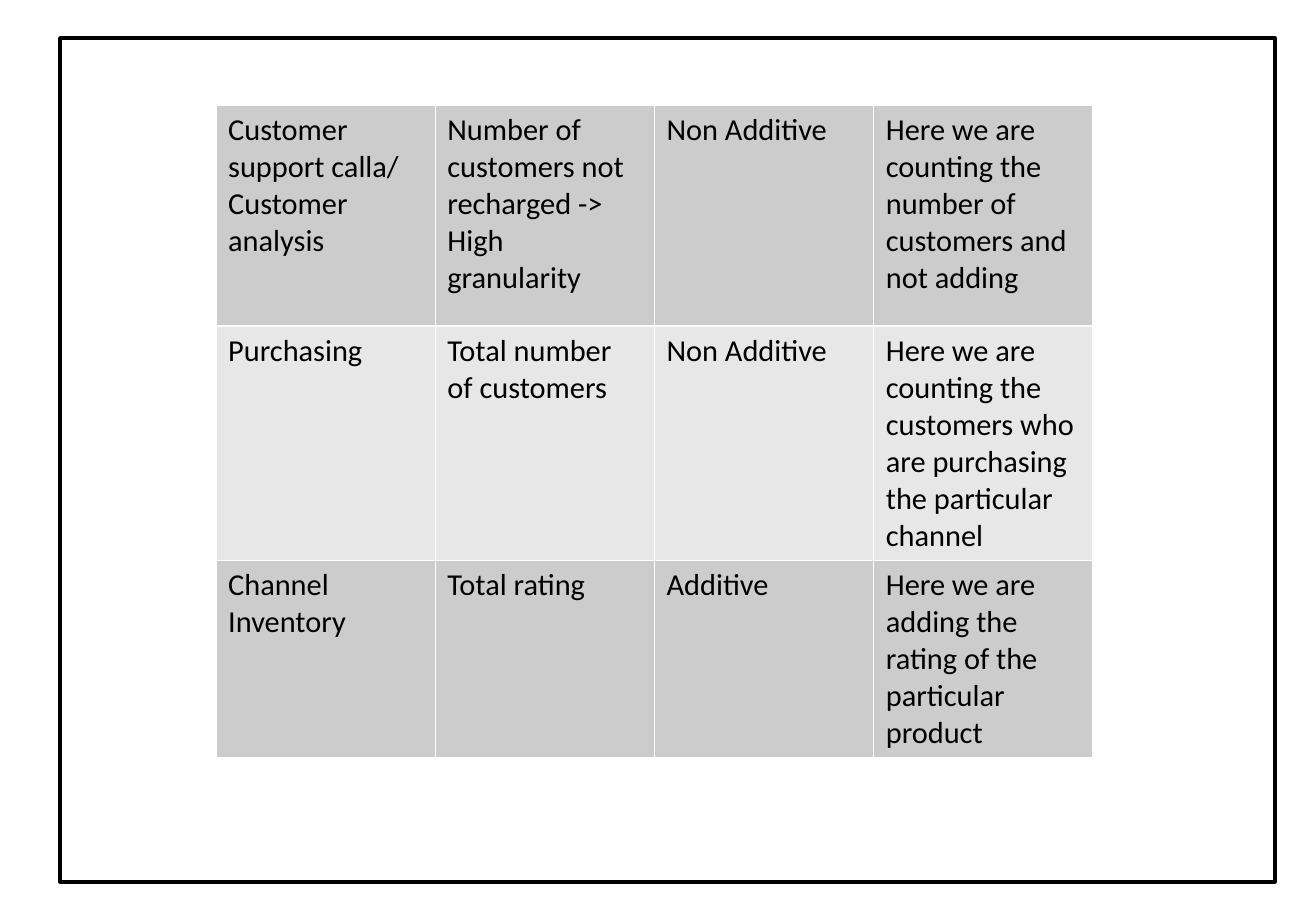
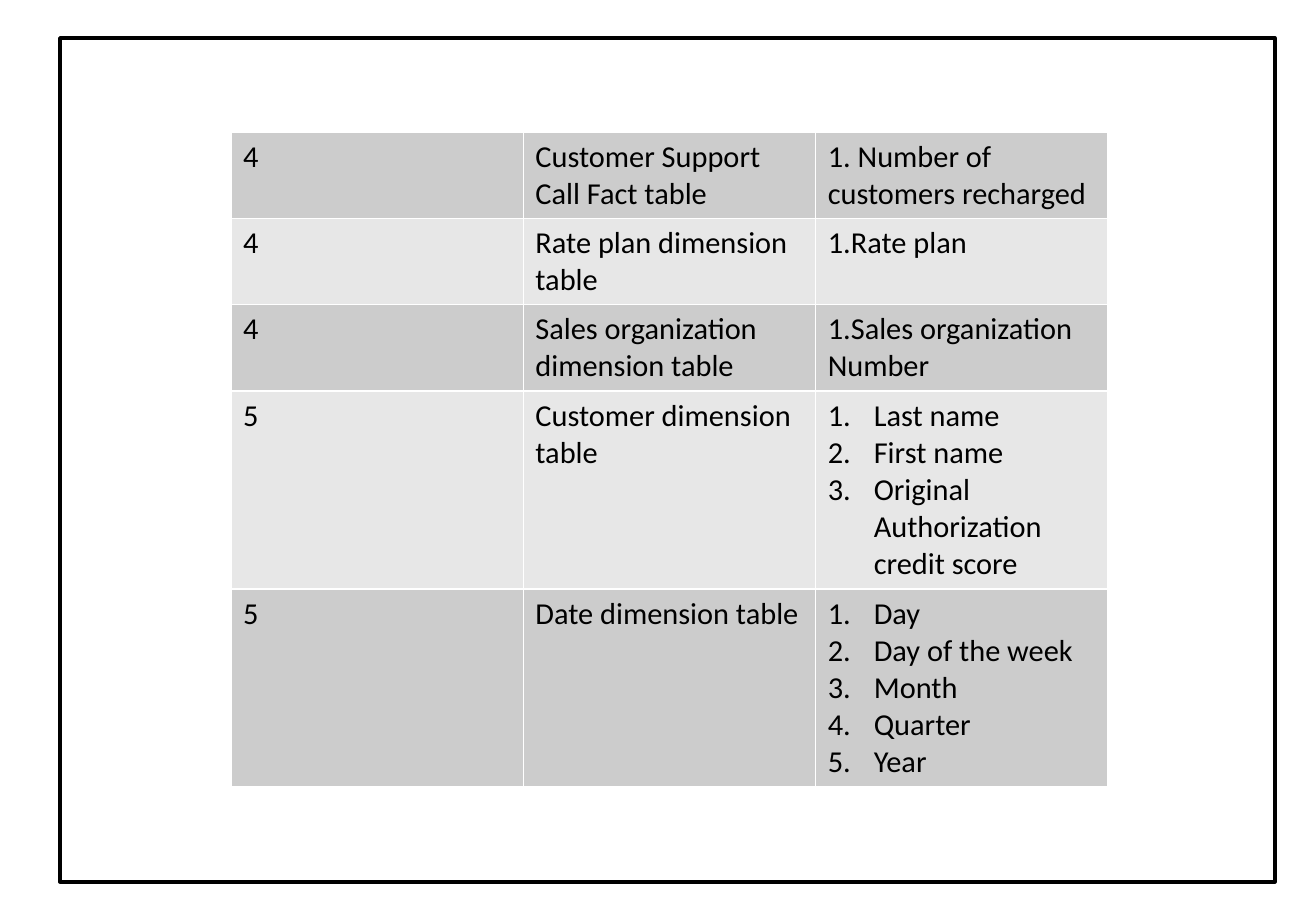
from dataclasses import dataclass

from lxml import etree
from pptx import Presentation
from pptx import util as u
from pptx.dml import color
from pptx.enum import shapes
from pptx.oxml import ns

EMU_PER_PX = 914400 / 121.5


@dataclass(frozen=True)
class Theme:
    font: str = "Calibri"
    size: int = 18
    ink: str = "000000"
    paper: str = "FFFFFF"
    bands: tuple = ("CCCCCC", "E7E7E7")
    frame_line: int = 2
    border_line: int = 1
    list_indent: int = 46


THEME = Theme()

FACT_ROWS = [
    (221, ["Customer support calla/ Customer analysis",
           "Number of customers not recharged -> High granularity",
           "Non Additive",
           "Here we are counting the number of customers and not adding"]),
    (234, ["Purchasing",
           "Total number of customers",
           "Non Additive",
           "Here we are counting the customers who are purchasing the particular channel"]),
    (197, ["Channel Inventory",
           "Total rating",
           "Additive",
           "Here we are adding the rating of the particular product"]),
]

DIMENSION_ROWS = [
    (86, ["4", "Customer Support Call Fact table", "1. Number of customers recharged"]),
    (86, ["4", "Rate plan dimension table", "1.Rate plan"]),
    (86, ["4", "Sales organization dimension table", "1.Sales organization Number"]),
    (198, ["5", "Customer dimension table",
           ["Last name", "First name", "Original Authorization credit score"]]),
    (197, ["5", "Date dimension table",
           ["Day", "Day of the week", "Month", "Quarter", "Year"]]),
]


def px(length):
    return u.Emu(round(length * EMU_PER_PX))


def rgb(value):
    return color.RGBColor.from_string(value)


def add_framed_page(deck):
    page = deck.slides.add_slide(deck.slide_layouts[6])
    frame = page.shapes.add_shape(
        shapes.MSO_SHAPE.RECTANGLE, px(60), px(38), px(1215), px(844))
    frame.shadow.inherit = False
    frame.fill.solid()
    frame.fill.fore_color.rgb = rgb(THEME.paper)
    frame.line.color.rgb = rgb(THEME.ink)
    frame.line.width = u.Pt(THEME.frame_line)
    return page


def set_borders(cell):
    properties = cell._tc.get_or_add_tcPr()
    for side in ("lnL", "lnR", "lnT", "lnB"):
        line = etree.SubElement(properties, ns.qn(f"a:{side}"),
                                w=str(u.Pt(THEME.border_line)))
        fill = etree.SubElement(line, ns.qn("a:solidFill"))
        etree.SubElement(fill, ns.qn("a:srgbClr"), val=THEME.paper)


def number_paragraph(para):
    properties = para._p.get_or_add_pPr()
    indent = px(THEME.list_indent)
    properties.set("marL", str(indent))
    properties.set("indent", str(-indent))
    etree.SubElement(properties, ns.qn("a:buFont"), typeface="+mj-lt")
    etree.SubElement(properties, ns.qn("a:buAutoNum"), type="arabicPeriod")


def fill_cell(cell, content, band):
    set_borders(cell)
    cell.fill.solid()
    cell.fill.fore_color.rgb = rgb(band)
    numbered = isinstance(content, list)
    cell.text = "\n".join(content) if numbered else content
    for para in cell.text_frame.paragraphs:
        if numbered:
            number_paragraph(para)
        para.font.name = THEME.font
        para.font.size = u.Pt(THEME.size)
        para.font.color.rgb = rgb(THEME.ink)


def add_banded_table(page, left, top, rows, width=877):
    column_count = len(rows[0][1])
    height = sum(row_height for row_height, _ in rows)
    table = page.shapes.add_table(
        len(rows), column_count, px(left), px(top), px(width), px(height)).table
    table.first_row = False
    table.horz_banding = False
    for column in table.columns:
        column.width = px(width / column_count)
    for index, (row_height, contents) in enumerate(rows):
        table.rows[index].height = px(row_height)
        band = THEME.bands[index % len(THEME.bands)]
        for cell, content in zip(table.rows[index].cells, contents):
            fill_cell(cell, content, band)


def main():
    deck = Presentation()
    deck.slide_width, deck.slide_height = px(1316), px(911)
    add_banded_table(add_framed_page(deck), 216, 105, FACT_ROWS)
    add_banded_table(add_framed_page(deck), 231, 132, DIMENSION_ROWS)
    deck.save("out.pptx")


if __name__ == "__main__":
    main()
